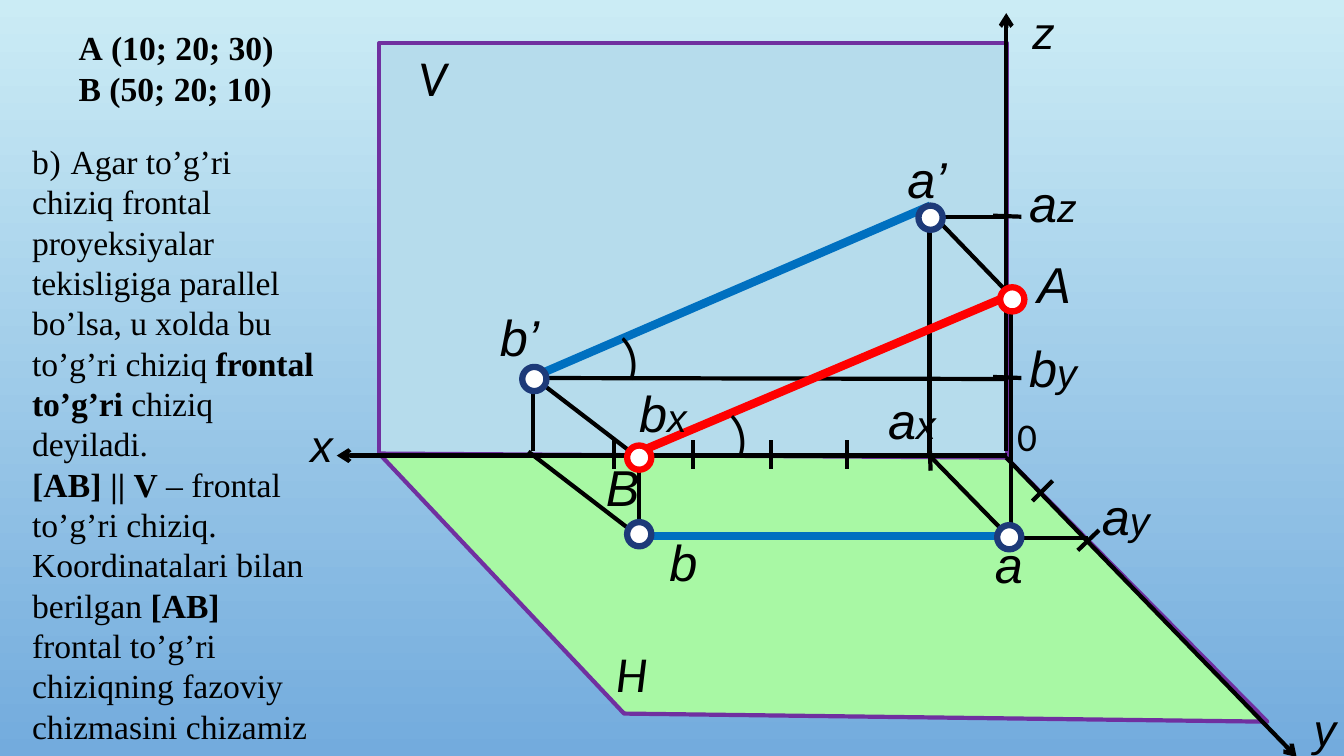
from lxml import etree
from pptx import Presentation
from pptx.dml.color import RGBColor
from pptx.enum.shapes import MSO_CONNECTOR, MSO_SHAPE
from pptx.enum.text import MSO_AUTO_SIZE
from pptx.oxml.ns import qn
from pptx.util import Pt

PX = 9144
STRAIGHT = MSO_CONNECTOR.STRAIGHT
RECT, OVAL = MSO_SHAPE.RECTANGLE, MSO_SHAPE.OVAL
GROW = MSO_AUTO_SIZE.SHAPE_TO_FIT_TEXT
BLACK = RGBColor(0x00, 0x00, 0x00)
WHITE = RGBColor(0xFF, 0xFF, 0xFF)
RED = RGBColor(0xFF, 0x00, 0x00)
BLUE = RGBColor(0x00, 0x70, 0xC0)
NAVY = RGBColor(0x1D, 0x3A, 0x79)
PURPLE = RGBColor(0x70, 0x30, 0xA0)
PLANE_V = RGBColor(0xB6, 0xDC, 0xEC)
PLANE_H = RGBColor(0xA8, 0xF8, 0xA4)
SKY_TOP = RGBColor(0xCB, 0xEC, 0xF5)
SKY_BOTTOM = RGBColor(0x73, 0xAB, 0xDD)

prs = Presentation()
prs.slide_width, prs.slide_height = 1333 * PX, 750 * PX
s = prs.slides.add_slide(prs.slide_layouts[6])
bg = s.background.fill
bg.gradient()
bg.gradient_angle = 270
for stop, color in zip(bg.gradient_stops, (SKY_TOP, SKY_BOTTOM)):
    stop.color.rgb = color


def paint(sp, fill, line, width):
    sp.shadow.inherit = False
    sp.fill.solid()
    sp.fill.fore_color.rgb = fill
    sp.line.color.rgb = line
    sp.line.width = Pt(width)


def add_text(x, y, w, h, paragraphs):
    sp = s.shapes.add_textbox(x * PX, y * PX, w * PX, h * PX)
    tf = sp.text_frame
    tf.word_wrap = True
    tf.auto_size = GROW
    for i, runs in enumerate(paragraphs):
        p = tf.add_paragraph() if i else tf.paragraphs[0]
        for text, font, size, bold, italic, spacing in runs:
            r = p.add_run()
            r.text = text
            r.font.name, r.font.size = font, Pt(size)
            r.font.bold, r.font.italic = bold, italic
            r.font.color.rgb = BLACK
            r._r.get_or_add_rPr().set("spc", str(spacing))
    return sp


wall = s.shapes.add_shape(RECT, 376 * PX, 43 * PX, 623 * PX, 409 * PX)
paint(wall, PLANE_V, PURPLE, 3)
fb = s.shapes.build_freeform(376, 450, scale=PX)
fb.add_line_segments([(998, 454), (1257, 716), (619, 708)], close=True)
paint(fb.convert_to_shape(), PLANE_H, PURPLE, 3)

axes = [(334, 452, 999, 452), (1286, 751, 998, 454), (998, 13, 998, 447)]
projections = [
    (994, 531, 639, 531), (529, 447, 529, 372), (1002, 534, 920, 450),
    (527, 375, 999, 376), (922, 453, 922, 205), (1000, 215, 920, 215),
    (633, 454, 526, 372), (1003, 530, 1003, 290), (636, 534, 524, 448),
    (1005, 534, 1079, 534), (1005, 296, 924, 212), (634, 531, 634, 452),
]
ticks = [(x, 465, x, 437) for x in (609, 687, 765, 840)]
ticks += [(923, 467, 922, 439), (1024, 497, 1044, 477), (1069, 546, 1090, 526)]
ticks += [(985, y, 1013, y + 1) for y in (214, 298, 374)]
segments = [
    (923, 204, 531, 373, BLUE), (989, 532, 635, 532, BLUE),
    (992, 297, 637, 447, RED),
]
lines = [(*line, BLACK, 3) for line in projections + axes + ticks]
lines += [(*segment, 6) for segment in segments]
for x1, y1, x2, y2, color, width in lines:
    cn = s.shapes.add_connector(STRAIGHT, x1 * PX, y1 * PX, x2 * PX, y2 * PX)
    cn.line.color.rgb = color
    cn.line.width = Pt(width)
    if (x1, y1, x2, y2) in axes:
        etree.SubElement(cn.line._get_or_add_ln(), qn("a:headEnd"), type="arrow")
    etree.SubElement(cn._element.spPr, qn("a:effectLst"))

TIMES = "Times New Roman"
body = [
    [("b) ", False, 50),
     ("Agar to’g’ri chiziq frontal proyeksiyalar tekisligiga parallel "
      "bo’lsa, u xolda bu to’g’ri chiziq ", False, -5),
     ("frontal to’g’ri ", True, -5), ("chiziq deyiladi.", False, -5)],
    [("[AB] || V ", True, 14), ("– frontal to’g’ri chiziq.", False, 0)],
    [("Koordinatalari bilan berilgan ", False, 0), ("[AB] ", True, 0),
     ("frontal to’g’ri chiziqning fazoviy chizmasini chizamiz", False, 0)],
]
points = [
    [("A ", True, 60), ("(10; 20; 30)", True, 0)],
    [("B (50; 20; 10)", True, 0)],
]
for x, y, w, h, left, right, paragraphs in [
    (22, 135, 350, 576, 10, 58, body),
    (0, 22, 284, 91, 78, 10, points),
]:
    sp = add_text(x, y, w, h, [
        [(t, TIMES, 24, bold, False, spc) for t, bold, spc in runs]
        for runs in paragraphs])
    tf = sp.text_frame
    tf.margin_left, tf.margin_right = left * PX, right * PX
    for p in tf.paragraphs:
        p.line_spacing = Pt(28.8)

labels = [
    ("a’", "", 890, 142, 79, "Arial", 36), ("a", "", 977, 524, 53, "Arial", 36),
    ("B", "", 591, 448, 48, "Arial", 36), ("A", "", 1019, 246, 56, "Arial", 36),
    ("b’", "", 486, 299, 73, "Arial", 36), ("b", "", 654, 522, 73, "Arial", 36),
    ("a", "x", 871, 381, 80, "Arial", 36), ("a", "y", 1083, 476, 80, "Arial", 36),
    ("a", "z", 1011, 166, 80, "Arial", 36), ("b", "x", 624, 374, 80, "Arial", 36),
    ("b", "y", 1011, 329, 80, "Arial", 36), ("x", "", 298, 409, 41, "Arial", 32),
    ("y", "", 1293, 691, 41, "Arial", 32), ("z", "", 1014, 0, 35, "Arial", 32),
    ("H", "", 601, 632, 89, "Calibri", 36), ("V", "", 405, 41, 89, "Calibri", 36),
]
for text, index, x, y, w, font, size in labels:
    runs = [(text, font, size, False, True, 0)]
    if index:
        runs.append((index, font, 28, False, True, 0))
    add_text(x, y, w, 71 if size == 36 else 64, [runs])
add_text(999, 404, 89, 57, [[("0", "Calibri", 28, False, False, 0)]])
for x, y, angle in [(714, 402, 169.5), (606, 325, 168.5)]:
    arc = add_text(x, y, 38, 71, [[("(", "Calibri", 36, False, False, 0)]])
    arc.rotation = angle

for x, y, color in [
    (989, 521, NAVY), (518, 364, NAVY), (992, 285, RED),
    (911, 204, NAVY), (622, 442, RED), (622, 518, NAVY),
]:
    paint(s.shapes.add_shape(OVAL, x * PX, y * PX, 24 * PX, 24 * PX),
          WHITE, color, 4.5)

prs.save("out.pptx")
